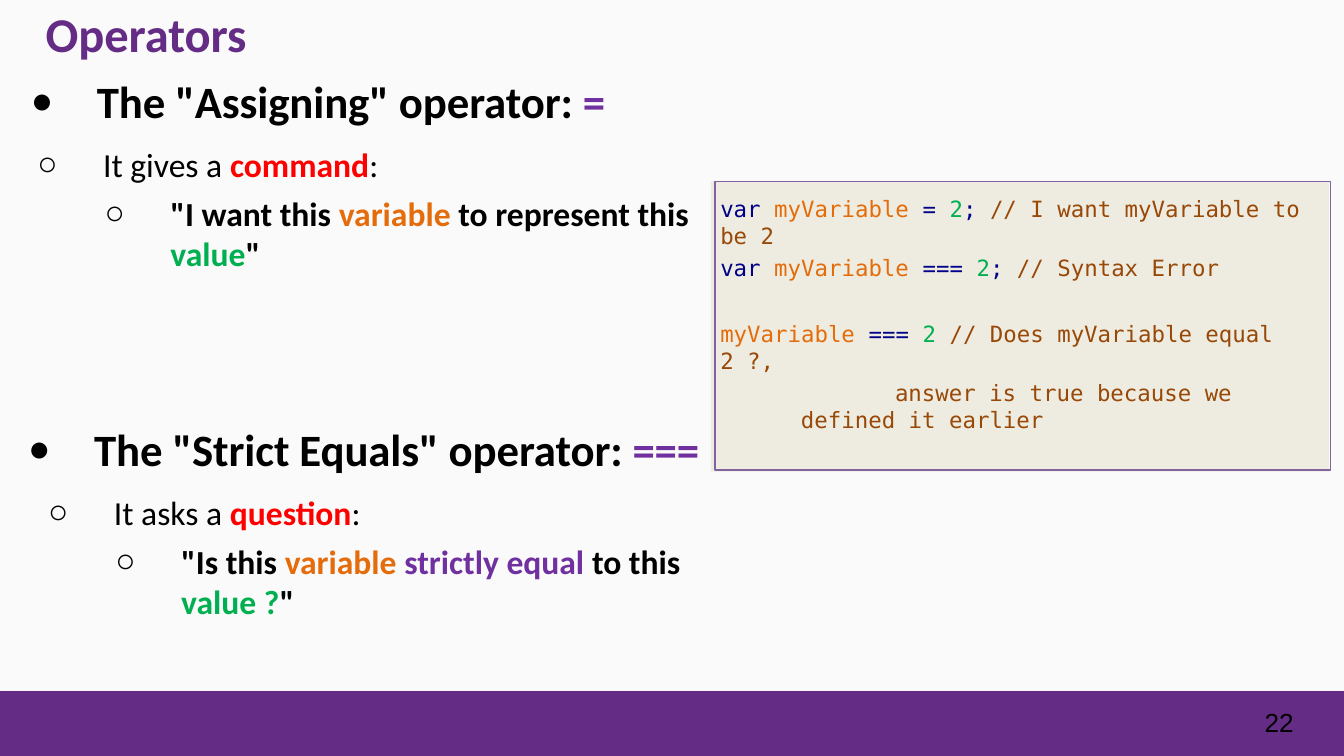
"""Build the slide on the assigning and strict equals operators."""
from lxml import etree
from pptx import Presentation
from pptx.dml.color import RGBColor
from pptx.enum import shapes, text
from pptx.oxml import ns
from pptx.util import Inches, Pt

COLORS = {
    "purple": "642C84", "paper": "FAFAFA", "panel": "EEECE1", "frame": "8064A2",
    "black": "000000", "red": "FF0000", "orange": "E46C0A", "green": "00B050",
    "violet": "7030A0", "navy": "000088", "brown": "984807",
}

deck = Presentation()
deck.slide_width = Inches(10)
deck.slide_height = deck.slide_width * 9 // 16
slide = deck.slides.add_slide(deck.slide_layouts[6])


def add_text(box, insets=(0, 0.01, 0, 0)):
    frame = slide.shapes.add_textbox(*map(Inches, box)).text_frame
    frame.word_wrap = True
    frame.auto_size = text.MSO_AUTO_SIZE.SHAPE_TO_FIT_TEXT
    (frame.margin_left, frame.margin_top,
     frame.margin_right, frame.margin_bottom) = map(Inches, insets)
    return frame


def fill_paragraph(paragraph, runs, size, font, before=0, left=0.01, indent=0,
                   bullet=None, bullet_size=100, spacing=0):
    paragraph.space_before = Pt(before)
    properties = paragraph._p.get_or_add_pPr()
    properties.set("marL", str(Inches(left)))
    properties.set("indent", str(Inches(indent)))
    if bullet:
        for tag, key, value in (("a:buSzPct", "val", str(bullet_size * 1000)),
                                ("a:buFont", "typeface", "Arial"),
                                ("a:buChar", "char", bullet)):
            etree.SubElement(properties, ns.qn(tag)).set(key, value)
    for words, color, bold in runs:
        run = paragraph.add_run()
        run.text = words
        run.font.size, run.font.name, run.font.bold = Pt(size), font, bold
        run.font.color.rgb = RGBColor.from_string(COLORS[color])
        if spacing:
            run._r.get_or_add_rPr().set("spc", str(spacing))


for box, fill, line in (
    ((0, 5.14, 10, 0.49), "purple", None),
    ((0, 0, 10, 5.14), "paper", None),
    ((5.29, 1.35, 4.6, 2.16), "panel", None),
    ((5.32, 1.35, 4.58, 2.15), None, "frame"),
):
    area = slide.shapes.add_shape(shapes.MSO_SHAPE.RECTANGLE, *map(Inches, box))
    area.shadow.inherit = False
    if fill:
        area.fill.solid()
        area.fill.fore_color.rgb = RGBColor.from_string(COLORS[fill])
    else:
        area.fill.background()
    if line:
        area.line.color.rgb = RGBColor.from_string(COLORS[line])
        area.line.width = Pt(1)
    else:
        area.line.fill.background()

title = add_text((0.33, 0.02, 1.55, 0.46))
fill_paragraph(title.paragraphs[0], [("Operators", "purple", True)], 26, "Calibri",
               before=1, spacing=-5)

page_number = add_text((9.38, 5.26, 0.27, 0.25), (0, 0, 0, 0))
page_number.paragraphs[0].line_spacing = Pt(16.4)
fill_paragraph(page_number.paragraphs[0], [("22", "black", False)], 14, "Arial", left=0.03)

code = add_text((5.35, 1.41, 4.46, 1.67), (0, 0.04, 0, 0))
code_lines = (
    (3.1, 0.01, 0, (("var ", "navy"), ("myVariable ", "orange"), ("= ", "navy"),
                    ("2", "green"), ("; ", "navy"),
                    ("// I want myVariable to be 2", "brown"))),
    (3.1, 0.01, 0, (("var ", "navy"), ("myVariable ", "orange"), ("=== ", "navy"),
                    ("2", "green"), ("; ", "navy"), ("// Syntax Error", "brown"))),
    (20.8, 0.01, 0, (("myVariable ", "orange"), ("=== ", "navy"), ("2 ", "green"),
                     ("// Does myVariable equal 2 ?,", "brown"))),
    (3.1, 0.61, 0.7, (("answer is true because we defined it earlier", "brown"),)),
)
for index, (before, left, indent, tokens) in enumerate(code_lines):
    code_line = code.add_paragraph() if index else code.paragraphs[0]
    fill_paragraph(code_line, [(*token, False) for token in tokens], 12,
                   "DejaVu Sans Mono", before, left, indent)

operators = (
    ((0.22, 0.54, 6.81, 0.42), (0.17, 1.02, 5.17, 1.08),
     'The "Assigning" operator: ', "=", "It gives a ", "command",
     (('"I want this ', "black"), ("variable", "orange"),
      (" to represent this ", "black"), ("value", "green"), ('"', "black"))),
    ((0.2, 3.13, 6.81, 0.42), (0.25, 3.61, 5.5, 1.08),
     'The "Strict Equals" operator: ', "===", "It asks a ", "question",
     (('"Is this ', "black"), ("variable ", "orange"), ("strictly equal ", "violet"),
      ("to this ", "black"), ("value ?", "green"), ('"', "black"))),
)
for heading_box, meaning_box, name, symbol, lead, role, quote in operators:
    heading = add_text(heading_box)
    fill_paragraph(heading.paragraphs[0], [(name, "black", True), (symbol, "violet", True)],
                   24, "Calibri", 1, 0.5, -0.49, "●", 83, -5)
    meaning = add_text(meaning_box, (0.1, 0.05, 0.1, 0.05))
    fill_paragraph(meaning.paragraphs[0],
                   [(lead, "black", False), (role, "red", True), (":", "black", False)],
                   18, "Calibri", 4.8, 0.5, -0.49, "○")
    example = meaning.add_paragraph()
    example.level = 1
    fill_paragraph(example, [(*part, True) for part in quote],
                   18, "Calibri", 4.8, 1, -0.49, "○")

deck.save("out.pptx")
